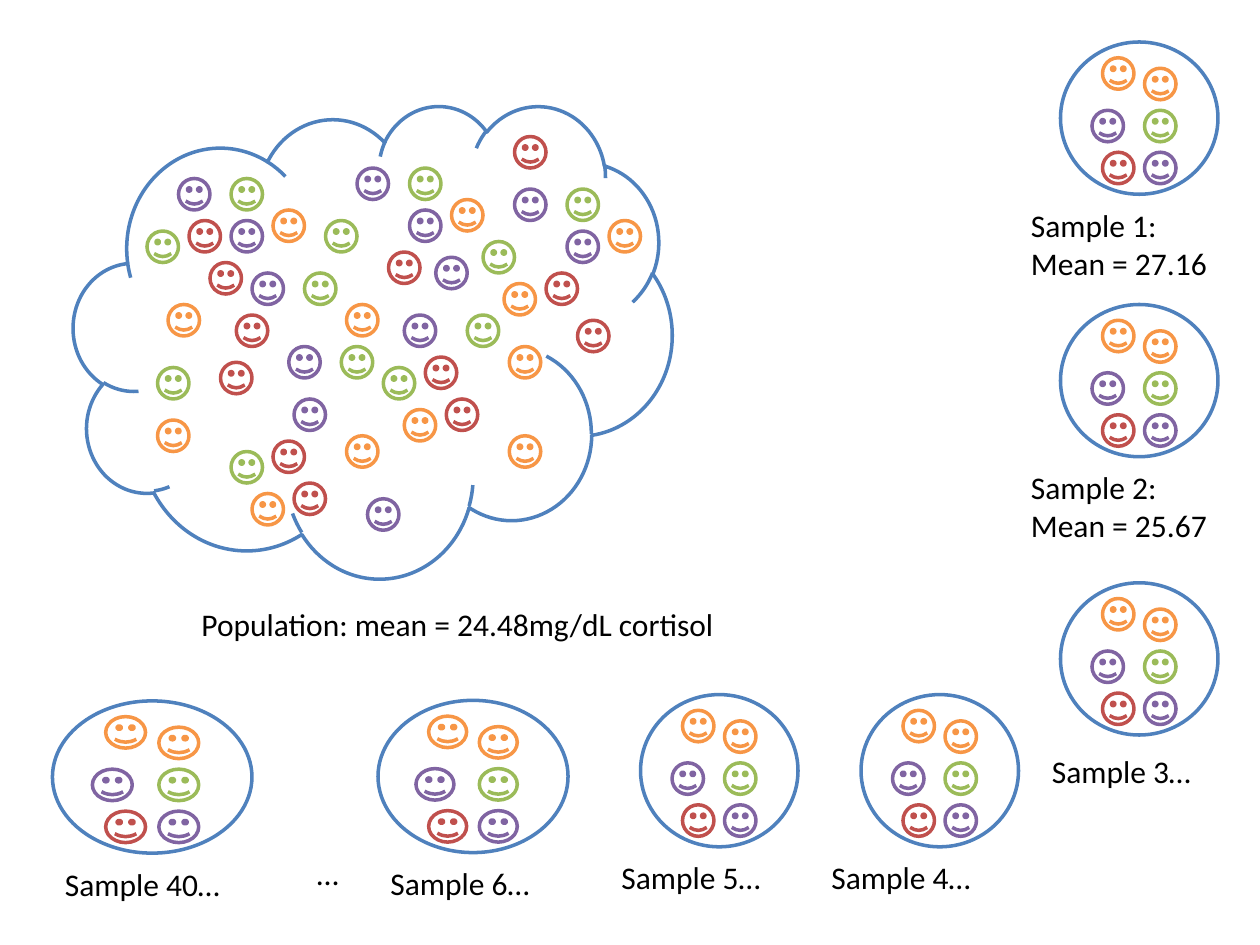
import pptx
import pptx.util
import pptx.dml.color
import pptx.enum.shapes

THEME = {
    "font": "Calibri", "size": 18, "line": 2, "text": "000000", "fill": "FFFFFF", "outline": "4F81BD",
    "red": "C0504D", "green": "9BBB59", "purple": "8064A2", "orange": "F79646",
}
SHAPES = pptx.enum.shapes.MSO_SHAPE

presentation = pptx.Presentation()
presentation.slide_width = pptx.util.Inches(10)
presentation.slide_height = pptx.util.Inches(7.5)
slide = presentation.slides.add_slide(presentation.slide_layouts[6])

# The slide is a grid of 120 columns by 90 rows; a face is three cells high
CELL = presentation.slide_width / 120
FACE = 3


def add_outline(parent, kind, left, top, width, height, color):
    box = [round(value * CELL) for value in (left, top, width, height)]
    shape = parent.shapes.add_shape(kind, *box)
    shape.shadow.inherit = False
    if color == "orange":
        shape.fill.background()
    else:
        shape.fill.solid()
        shape.fill.fore_color.rgb = pptx.dml.color.RGBColor.from_string(THEME["fill"])
    shape.line.color.rgb = pptx.dml.color.RGBColor.from_string(THEME[color])
    shape.line.width = pptx.util.Pt(THEME["line"])


def add_label(parent, left, top, width, lines):
    height = 4.8 if len(lines) == 1 else 8.5
    box = [round(value * CELL) for value in (left, top, width, height)]
    frame = parent.shapes.add_textbox(*box).text_frame
    frame.word_wrap = True
    for index, line in enumerate(lines):
        paragraph = frame.add_paragraph() if index else frame.paragraphs[0]
        run = paragraph.add_run()
        run.text = line
        run.font.name = THEME["font"]
        run.font.size = pptx.util.Pt(THEME["size"])
        run.font.color.rgb = pptx.dml.color.RGBColor.from_string(THEME["text"])


# Population: a cloud with twelve faces of each colour (column, row)
population = {
    "red": [(18, 21), (20, 25), (55, 30.5), (37, 24), (22.5, 30), (21, 34.5),
            (26, 42), (28, 46), (40.5, 34), (42.5, 38), (49, 13), (52, 26)],
    "green": [(22, 17), (14, 22), (39, 16), (31, 21), (29, 26), (15, 35),
              (32.5, 33), (22, 43), (44.5, 30), (36.5, 35), (54, 18), (46, 23)],
    "purple": [(17, 17), (22, 21), (34, 16), (39, 20), (24, 26), (27.5, 33),
               (28, 38), (35, 47.5), (41.5, 24.5), (38.5, 30), (49, 18), (54, 22)],
    "orange": [(16, 29), (26, 20), (48.5, 41.5), (43, 19), (15, 40), (33, 29),
               (24, 47), (33, 41.5), (38.5, 39), (48.5, 33), (48, 27), (58, 21)],
}
cloud_group = slide.shapes.add_group_shape()
add_outline(cloud_group, SHAPES.CLOUD, 7, 10, 57, 45, "outline")
for color, places in population.items():
    for column, row in places:
        add_outline(cloud_group, SHAPES.SMILEY_FACE, column, row, FACE, FACE, color)

# Samples: six faces placed within a circle, which may be stretched sideways
CIRCLE_WIDTH, CIRCLE_HEIGHT = 15, 14.5
sample_faces = [
    ("orange", 4, 1.5), ("red", 4, 10.5), ("green", 8, 6.5),
    ("purple", 3, 6.5), ("orange", 8, 2.5), ("purple", 8, 10.5),
]
# Circle column, row and width; label column, row and width; label lines
samples = [
    (101, 4, 15, 97, 19, 21, ["Sample 1:", "Mean = 27.16"]),
    (101, 29, 15, 97, 44, 21, ["Sample 2:", "Mean = 25.67"]),
    (101, 55.5, 15, 99, 71, 19, ["Sample 3…"]),
    (82, 66.15, 15, 78, 81.15, 21, ["Sample 4…"]),
    (61, 66.15, 15, 58, 81.15, 20, ["Sample 5…"]),
    (36, 66.7, 18.1, 36, 81.7, 20.5, ["Sample 6…"]),
    (5, 66.75, 19, 5, 81.75, 21.5, ["Sample 40…"]),
]
for left, top, width, label_left, label_top, label_width, lines in samples:
    sample_group = slide.shapes.add_group_shape()
    stretch = width / CIRCLE_WIDTH
    add_outline(sample_group, SHAPES.OVAL, left, top, width, CIRCLE_HEIGHT, "outline")
    for color, column, row in sample_faces:
        add_outline(sample_group, SHAPES.SMILEY_FACE, left + column * stretch, top + row,
                    FACE * stretch, FACE, color)
    add_label(sample_group, label_left, label_top, label_width, lines)

# Gap between the samples, and the population caption
add_label(slide, 29, 80.7, 9, ["…"])
add_label(slide, 18, 57, 58, ["Population: mean = 24.48mg/dL cortisol"])

presentation.save("out.pptx")
